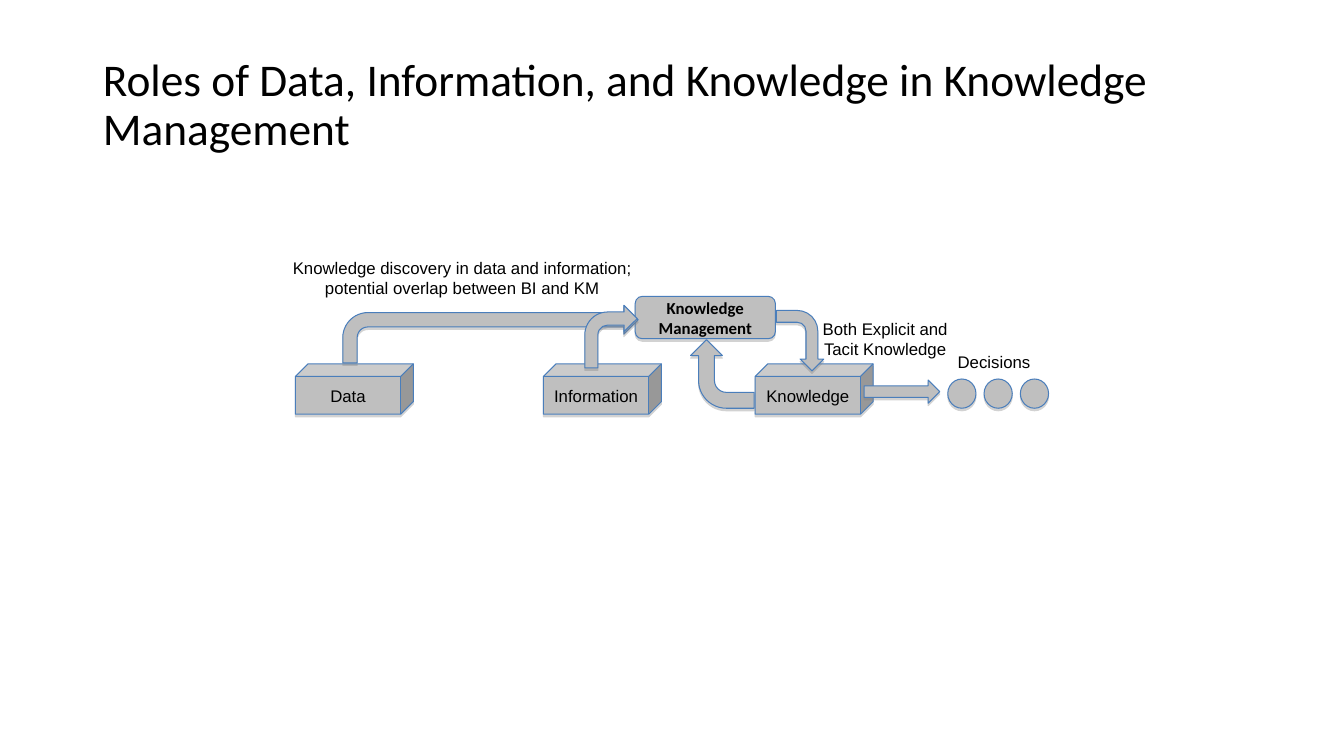
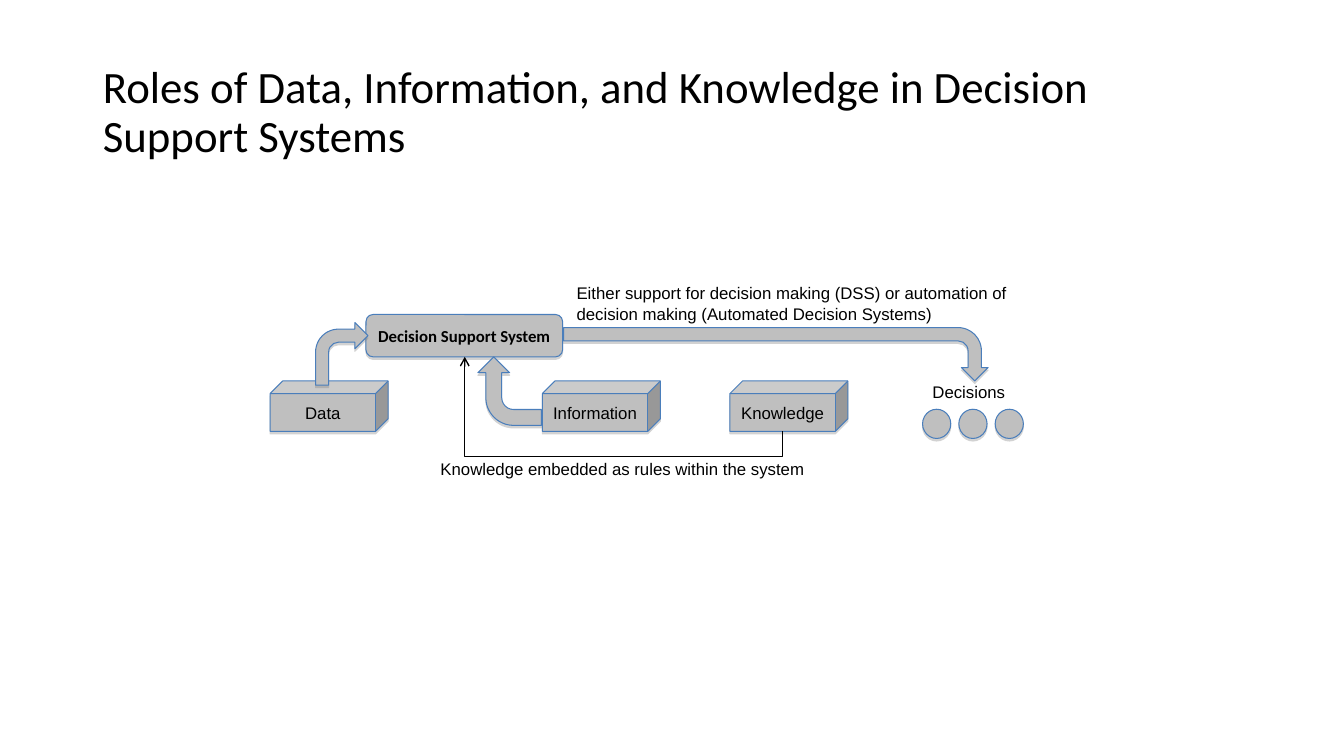
from lxml.etree import SubElement
from pptx import Presentation
from pptx.dml.color import RGBColor
from pptx.enum.shapes import MSO_CONNECTOR, MSO_SHAPE
from pptx.enum.text import MSO_ANCHOR, MSO_AUTO_SIZE, PP_ALIGN
from pptx.oxml.ns import qn
from pptx.util import Inches, Pt

COLOURS = {"fill": "BFBFBF", "edge": "4A7EBB", "shadow": "808080", "ink": "000000"}
TITLE_BOX = (0.92, 0.4, 11.5, 1.45)
CUBE_SIZE = (1.17, 0.5)
CIRCLE_SIZE = (0.28, 0.29)
CIRCLE_COUNT, CIRCLE_PITCH, CIRCLE_DROP = 3, 0.36, 0.32
LEFT, CENTRE = PP_ALIGN.LEFT, PP_ALIGN.CENTER

SLIDES = [
    {
        "title": "Roles of Data, Information, and Knowledge in Knowledge Management",
        "title_size": 32.4,
        "title_lift": 0.07,
        "cube_top": 3.61,
        "cubes": [("Knowledge", 7.49), ("Information", 5.39), ("Data", 2.93)],
        "decisions": (9.4, 3.44),
        "process": ("Knowledge Management", (6.3, 2.94, 1.39, 0.42)),
        "bent_arrows": [
            ((6.85, 3.37, 0.63, 0.68), 270),
            ((7.7, 3.08, 0.47, 0.6), 90),
            ((3.4, 3.03, 2.93, 0.57), 0),
            ((5.8, 3.03, 0.52, 0.62), 0),
        ],
        "straight_arrows": [(8.57, 3.77, 0.75, 0.23)],
        "feedback": None,
        "labels": [
            ("Knowledge discovery in data and information; potential overlap between BI and KM",
             (2.69, 2.51, 3.79, 0.51), CENTRE),
            ("Both Explicit and Tacit Knowledge", (8.01, 3.11, 1.54, 0.52), CENTRE),
        ],
    },
    {
        "title": "Roles of Data, Information, and Knowledge in Decision Support Systems",
        "title_size": 32,
        "title_lift": 0,
        "cube_top": 3.78,
        "cubes": [("Knowledge", 7.24), ("Information", 5.38), ("Data", 2.68)],
        "decisions": (9.15, 3.74),
        "process": ("Decision Support System", (3.63, 3.12, 1.95, 0.42)),
        "bent_arrows": [
            ((3.13, 3.2, 0.52, 0.62), 0),
            ((4.74, 3.54, 0.63, 0.68), 270),
            ((5.59, 3.25, 4.21, 0.53), 90),
        ],
        "straight_arrows": [],
        "feedback": {"start": (7.76, 4.28), "end": (4.61, 3.54), "low": 4.53},
        "labels": [
            ("Knowledge embedded as rules within the system", (4.27, 4.5, 3.85, 0.3), LEFT),
            ("Either support for decision making (DSS) or automation of decision making "
             "(Automated Decision Systems)", (5.62, 2.76, 5, 0.5), LEFT),
        ],
    },
]


def colour(name):
    return RGBColor.from_string(COLOURS[name])


def write(shape, text, size=12, font="Arial", bold=False, align=CENTRE, wrap=True):
    frame = shape.text_frame
    frame.word_wrap = wrap
    frame.auto_size = MSO_AUTO_SIZE.NONE
    frame.text = text
    para = frame.paragraphs[0]
    para.alignment = align
    para.font.name = font
    para.font.size = Pt(size)
    para.font.bold = bold
    para.font.color.rgb = colour("ink")
    return para


def add_block(shapes, preset, box):
    shape = shapes.add_shape(preset, *map(Inches, box))
    shape.fill.solid()
    shape.fill.fore_color.rgb = colour("fill")
    shape.line.color.rgb = colour("edge")
    shape.line.width = Pt(0.75)
    shape.shadow.inherit = False
    effects = shape._element.spPr.find(qn("a:effectLst"))
    shadow = SubElement(effects, qn("a:outerShdw"), blurRad="0", dist=str(Pt(1.8)),
                        dir="5400000", rotWithShape="0")
    tint = SubElement(shadow, qn("a:srgbClr"), val=COLOURS["shadow"])
    SubElement(tint, qn("a:alpha"), val="35000")
    return shape


def add_bent_arrow(shapes, box, turn):
    left, top, width, height = box
    if turn:
        shift = (width - height) / 2
        box = (left + shift, top - shift, height, width)
    add_block(shapes, MSO_SHAPE.BENT_ARROW, box).rotation = turn


def add_label(shapes, text, box, align=LEFT, wrap=True):
    write(shapes.add_textbox(*map(Inches, box)), text, align=align, wrap=wrap)


def add_decisions(shapes, left, top):
    group = shapes.add_group_shape().shapes
    for index in range(CIRCLE_COUNT):
        corner = (left + index * CIRCLE_PITCH, top + CIRCLE_DROP)
        add_block(group, MSO_SHAPE.OVAL, corner + CIRCLE_SIZE)
    add_label(group, "Decisions", (left, top, 0.93, 0.3), wrap=False)


def add_feedback(shapes, start, end, low):
    across, rise = start[0] - end[0], start[1] - end[1]
    middle_x, middle_y = (start[0] + end[0]) / 2, (start[1] + end[1]) / 2
    corners = (middle_x + rise / 2, middle_y - across / 2,
               middle_x - rise / 2, middle_y + across / 2)
    line = shapes.add_connector(MSO_CONNECTOR.ELBOW, *map(Inches, corners))
    line.line.color.rgb = colour("ink")
    line.line.width = Pt(1)
    properties = line._element.spPr
    properties.find(qn("a:xfrm")).set("rot", "5400000")
    guides = properties.find(qn("a:prstGeom")).find(qn("a:avLst"))
    bend = round((start[1] - low) / rise * 100000)
    SubElement(guides, qn("a:gd"), name="adj1", fmla=f"val {bend}")
    SubElement(properties.find(qn("a:ln")), qn("a:tailEnd"), type="arrow")
    SubElement(properties, qn("a:effectLst"))


def add_title(page, content):
    left, top, width, height = TITLE_BOX
    title = page.shapes.title
    title.left, title.top = Inches(left), Inches(top - content["title_lift"])
    title.width, title.height = Inches(width), Inches(height)
    para = write(title, content["title"], content["title_size"], "Calibri", align=LEFT)
    para.line_spacing = 0.9
    title.text_frame.vertical_anchor = MSO_ANCHOR.MIDDLE


def add_page(deck, content):
    page = deck.slides.add_slide(deck.slide_layouts[5])
    shapes = page.shapes
    add_title(page, content)
    for name, left in content["cubes"]:
        cube = add_block(shapes, MSO_SHAPE.CUBE, (left, content["cube_top"]) + CUBE_SIZE)
        write(cube, name, wrap=False)
    add_decisions(shapes, *content["decisions"])
    name, box = content["process"]
    write(add_block(shapes, MSO_SHAPE.ROUNDED_RECTANGLE, box), name, font="Calibri", bold=True)
    for box, turn in content["bent_arrows"]:
        add_bent_arrow(shapes, box, turn)
    for box in content["straight_arrows"]:
        add_block(shapes, MSO_SHAPE.RIGHT_ARROW, box)
    if content["feedback"]:
        add_feedback(shapes, **content["feedback"])
    for text, box, align in content["labels"]:
        add_label(shapes, text, box, align)


def main():
    deck = Presentation()
    deck.slide_width, deck.slide_height = Inches(13.33), Inches(7.5)
    for content in SLIDES:
        add_page(deck, content)
    deck.save("out.pptx")


if __name__ == "__main__":
    main()
